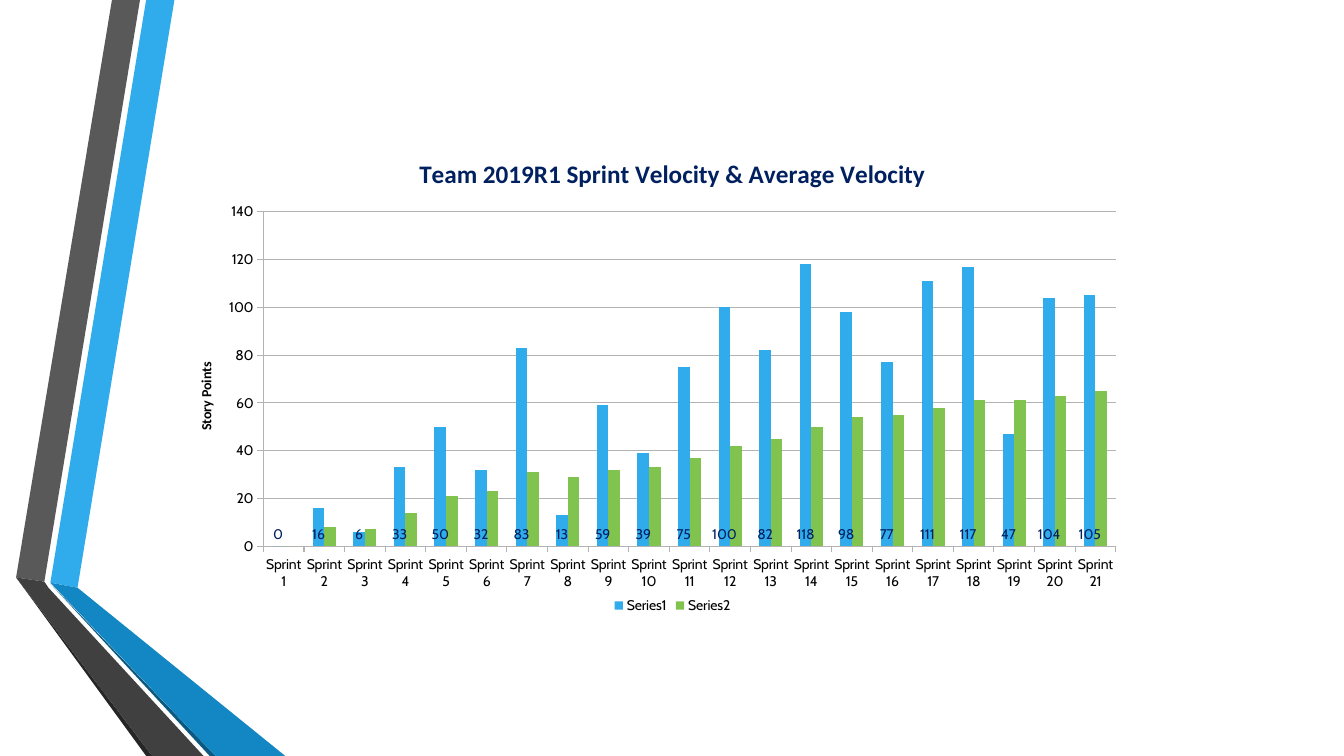
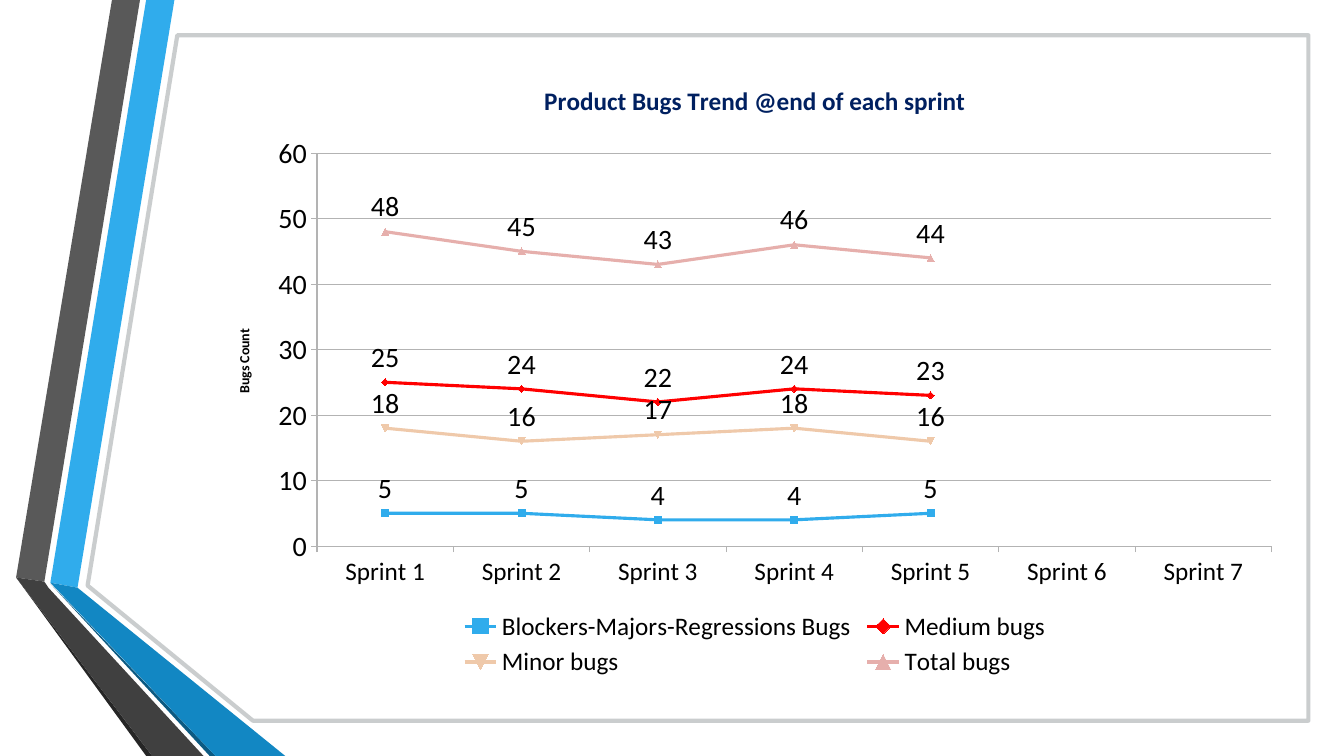
"""Build two slides of sprint charts, velocity and bug trend, beside a folded ribbon."""
from lxml import etree
from pptx import Presentation
from pptx.chart.data import CategoryChartData
from pptx.dml.color import RGBColor
from pptx.enum.chart import XL_CHART_TYPE as CT, XL_LABEL_POSITION as LP, XL_LEGEND_POSITION as LG
from pptx.enum.chart import XL_TICK_MARK as TM
from pptx.oxml.ns import qn
from pptx.util import Pt

BLUE = RGBColor(0x30, 0xAC, 0xEC)
BLUE_FOLD = RGBColor(0x12, 0x87, 0xC3)
BLUE_EDGE = RGBColor(0x0C, 0x5A, 0x82)
GREY = RGBColor(0x59, 0x59, 0x59)
GREY_FOLD = RGBColor(0x40, 0x40, 0x40)
GREY_EDGE = RGBColor(0x26, 0x26, 0x26)
FRAME_GREY = RGBColor(0x97, 0x9D, 0x9F)
GRID_GREY = RGBColor(0xB3, 0xB3, 0xB3)
NAVY = RGBColor(0x00, 0x20, 0x60)
GREEN = RGBColor(0x80, 0xC3, 0x4F)
RED = RGBColor(0xFF, 0x00, 0x00)
PEACH = RGBColor(0xEF, 0xC9, 0xAA)
PINK = RGBColor(0xE6, 0xAF, 0xAC)
BLACK = RGBColor(0x00, 0x00, 0x00)
WHITE = RGBColor(0xFF, 0xFF, 0xFF)

RIBBON = [
    (BLUE, [(36, 416.2), (55.4, 419.8), (124.6, 0), (104.4, 0)]),
    (GREY, [(100, 0), (80, 0), (11.5, 412.5), (31.7, 415.5)]),
    (GREY_EDGE, [(11.5, 412.5), (104.4, 540), (108.7, 540)]),
    (BLUE_EDGE, [(36, 416.9), (149.8, 540), (154, 540)]),
    (BLUE_FOLD, [(36, 416.2), (154, 540), (203.8, 540), (55.4, 419.8)]),
    (GREY_FOLD, [(145.4, 540), (34.6, 419.8), (31.7, 415.5), (11.5, 412.5), (108.7, 540)]),
]
FRAME = [(126.7, 25.2), (934.6, 25.2), (934.6, 514.8), (180.7, 514.8), (62.6, 418.3)]

VELOCITY = dict(
    kind=CT.COLUMN_CLUSTERED, box=(139, 98, 682.6, 343.4), plot=(0.072, 0.155, 0.892, 0.696),
    title="Team 2019R1 Sprint Velocity & Average Velocity", axis="Story Points", sprints=21,
    font="Cabin", scale=(140, 20), cat_size=10, val_size=10, legend_size=10,
    series=[
        ("Series1", BLUE, [0, 16, 6, 33, 50, 32, 83, 13, 59, 39, 75, 100, 82, 118, 98, 77, 111,
                           117, 47, 104, 105]),
        ("Series2", GREEN, [0, 8, 7, 14, 21, 23, 31, 29, 32, 33, 37, 42, 45, 50, 54, 55, 58, 61,
                            61, 63, 65]),
    ])
BUGS = dict(
    kind=CT.LINE_MARKERS, box=(154, 43.2, 770.4, 444.2), plot=(0.094, 0.149, 0.885, 0.632),
    title="Product Bugs Trend @end of each sprint", axis="Bugs Count", sprints=7,
    font="Calibri", scale=(60, 10), cat_size=18, val_size=20, legend_size=18,
    series=[
        ("Blockers-Majors-Regressions Bugs", BLUE, [5, 5, 4, 4, 5, None, None]),
        ("Medium bugs", RED, [25, 24, 22, 24, 23, None, None]),
        ("Minor bugs", PEACH, [18, 16, 17, 18, 16, None, None]),
        ("Total bugs", PINK, [48, 45, 43, 46, 44, None, None]),
    ])


def fill(fmt, color):
    fmt.fill.solid()
    fmt.fill.fore_color.rgb = color


def add_polygon(slide, points, color):
    corners = [(Pt(x), Pt(y)) for x, y in points]
    builder = slide.shapes.build_freeform(*corners[0], scale=1.0)
    builder.add_line_segments(corners[1:], close=True)
    sp = builder.convert_to_shape()
    sp.shadow.inherit = False
    fill(sp, color)
    sp.line.fill.background()
    return sp


def add_frame(slide):
    sp = add_polygon(slide, FRAME, WHITE)
    sp.line.color.rgb = FRAME_GREY
    sp.line.width = Pt(3)
    color = sp.line._ln.find(".//" + qn("a:srgbClr"))
    etree.SubElement(color, qn("a:alpha"), val="50000")


def set_font(font, name, size, color=BLACK, bold=False):
    font.name, font.size, font.bold = name, Pt(size), bold
    font.color.rgb = color


def set_title(owner, text, size, color):
    tf = owner.text_frame
    tf.text = text
    set_font(tf.paragraphs[0].font, "Calibri", size, color, True)


def place_plot(chart, plot):
    area = chart._chartSpace.find(".//" + qn("c:plotArea"))
    for old in area.findall(qn("c:layout")):
        area.remove(old)
    layout = etree.Element(qn("c:layout"))
    manual = etree.SubElement(layout, qn("c:manualLayout"))
    settings = [("layoutTarget", "inner"), ("xMode", "edge"), ("yMode", "edge")]
    for tag, val in settings + list(zip("xywh", plot)):
        etree.SubElement(manual, qn("c:" + tag), val=str(val))
    area.insert(0, layout)


def add_labels(series, position, font, size, color):
    labels = series.data_labels
    labels.show_value = True
    labels.position = position
    set_font(labels.font, font, size, color)


def add_chart(slide, info):
    data = CategoryChartData()
    data.categories = [f"Sprint {n}" for n in range(1, info["sprints"] + 1)]
    for name, _, values in info["series"]:
        data.add_series(name, values)
    chart = slide.shapes.add_chart(info["kind"], *map(Pt, info["box"]), data).chart
    set_font(chart.font, info["font"], 10)
    set_title(chart.chart_title, info["title"], 18, NAVY)
    chart.chart_title.include_in_layout = False
    place_plot(chart, info["plot"])

    chart.has_legend = True
    chart.legend.position = LG.BOTTOM
    chart.legend.include_in_layout = False
    set_font(chart.legend.font, info["font"], info["legend_size"])

    cat, val = chart.category_axis, chart.value_axis
    for axis, size in ((cat, info["cat_size"]), (val, info["val_size"])):
        set_font(axis.tick_labels.font, info["font"], size)
        axis.major_tick_mark, axis.minor_tick_mark = TM.OUTSIDE, TM.NONE
        axis.format.line.color.rgb = GRID_GREY
    val.minimum_scale = 0
    val.maximum_scale, val.major_unit = info["scale"]
    val.has_major_gridlines = True
    val.major_gridlines.format.line.color.rgb = GRID_GREY
    set_title(val.axis_title, info["axis"], 10, BLACK)

    plot = chart.plots[0]
    plot.vary_by_categories = False
    for series, (_, color, _) in zip(plot.series, info["series"]):
        if info["kind"] == CT.COLUMN_CLUSTERED:
            fill(series.format, color)
            continue
        series.smooth = False
        series.format.line.color.rgb = color
        series.format.line.width = Pt(2.25)
        series.marker.size = 5
        fill(series.marker.format, color)
        series.marker.format.line.color.rgb = color
        add_labels(series, LP.ABOVE, info["font"], 20, BLACK)
    return plot


def add_slide(prs):
    slide = prs.slides.add_slide(prs.slide_layouts[6])
    for color, points in RIBBON:
        add_polygon(slide, points, color)
    return slide


prs = Presentation()
prs.slide_width, prs.slide_height = Pt(960), Pt(540)

columns = add_chart(add_slide(prs), VELOCITY)
columns.gap_width, columns.overlap = 150, 0
add_labels(columns.series[0], LP.INSIDE_BASE, "Cabin", 10, NAVY)

bugs_slide = add_slide(prs)
add_frame(bugs_slide)
add_chart(bugs_slide, BUGS)

prs.save("out.pptx")
